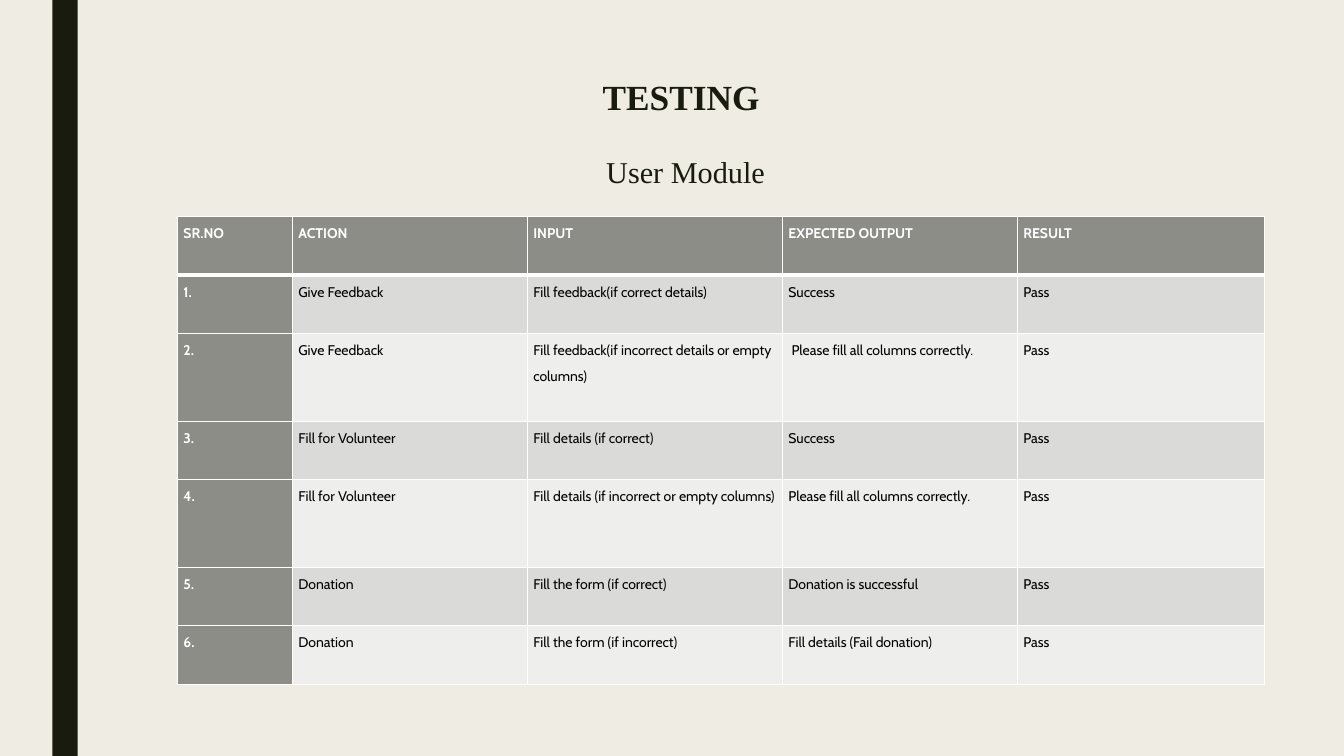
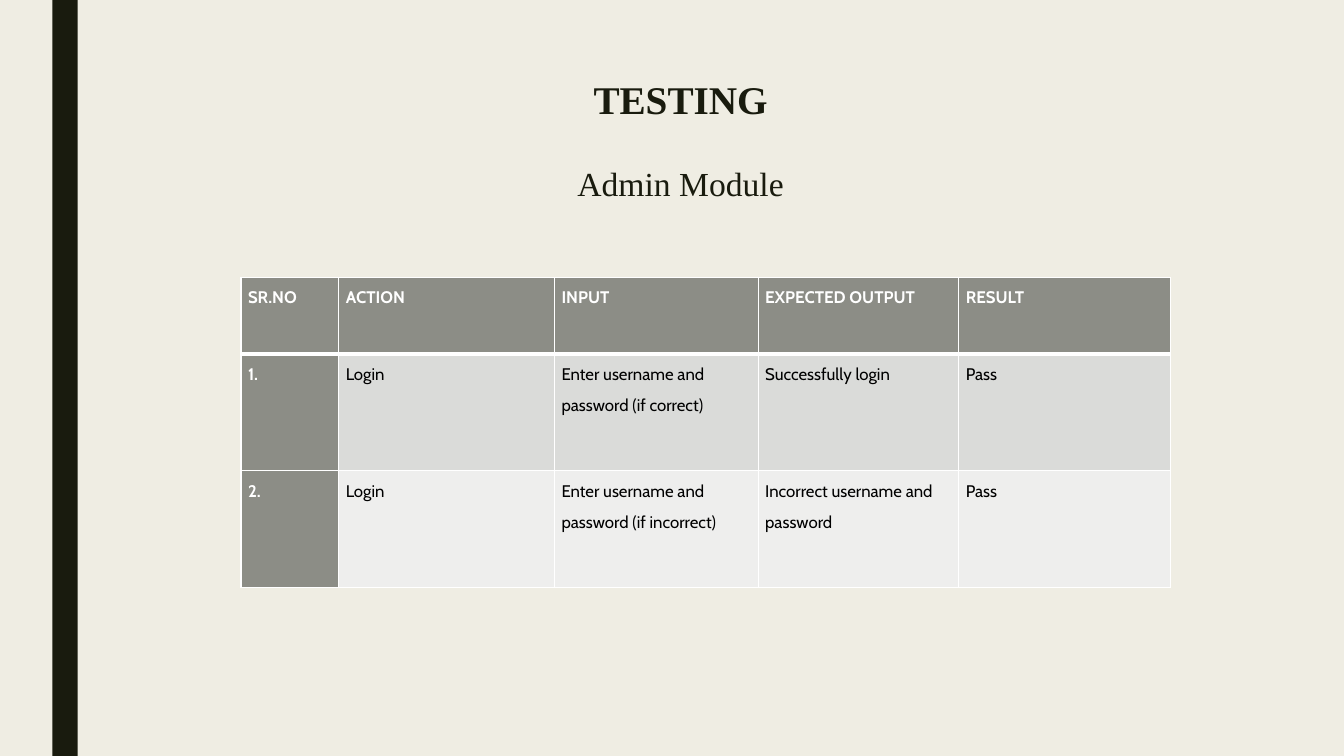
from dataclasses import dataclass

from lxml import etree
from pptx import Presentation
from pptx.dml.color import RGBColor
from pptx.enum.shapes import MSO_SHAPE
from pptx.enum.text import MSO_ANCHOR, MSO_AUTO_SIZE, PP_ALIGN
from pptx.oxml.ns import qn
from pptx.util import Inches, Pt

RECTANGLE = MSO_SHAPE.RECTANGLE
TOP = MSO_ANCHOR.TOP
NO_AUTOFIT = MSO_AUTO_SIZE.NONE
CENTER = PP_ALIGN.CENTER
TITLE_ONLY = 5


@dataclass(frozen=True)
class Theme:
    """Colours, fonts and type measures that the pages share."""

    paper: str = "EFEDE3"
    ink: str = "191B0E"
    header: str = "8C8D86"
    bands: tuple = ("DADBD9", "EEEEED")
    white: str = "FFFFFF"
    black: str = "000000"
    title_font: str = "Times New Roman"
    table_font: str = "Cabin"
    title_spacing: float = 0.89
    table_spacing: float = 1.5
    thin_line: float = 1
    thick_line: float = 3


@dataclass(frozen=True)
class Heading:
    """Text, place and type sizes of a two-line title."""

    lines: tuple
    box: tuple
    sizes: tuple
    gap: float


@dataclass(frozen=True)
class Grid:
    """Place, measures and rows of a test table."""

    left: float
    top: float
    columns: tuple
    heights: tuple
    size: float
    inset: float
    rows: tuple


THEME = Theme()
HEADER = ("SR.NO", "ACTION", "INPUT", "EXPECTED OUTPUT", "RESULT")
SHORT_ROW, TALL_ROW = 0.58, 0.87

USER_HEADING = Heading(("TESTING ", "User Module"), (1.5, 0.75, 10.6, 1.25), (25.2, 21.6), 28)
USER_GRID = Grid(
    left=1.76,
    top=2.15,
    columns=(1.14, 2.33, 2.53, 2.33, 2.45),
    heights=(SHORT_ROW, SHORT_ROW, TALL_ROW, SHORT_ROW, TALL_ROW, SHORT_ROW, SHORT_ROW),
    size=10,
    inset=0.06,
    rows=(
        ("Give Feedback", "Fill feedback(if correct details)", "Success"),
        ("Give Feedback", "Fill feedback(if incorrect details or empty columns)",
         " Please fill all columns correctly."),
        ("Fill for Volunteer", "Fill details (if correct)", "Success"),
        ("Fill for Volunteer", "Fill details (if incorrect or empty columns)",
         "Please fill all columns correctly."),
        ("Donation", "Fill the form (if correct)", "Donation is successful"),
        ("Donation", "Fill the form (if incorrect)", "Fill details (Fail donation)"),
    ),
)

ADMIN_HEADING = Heading(("TESTING", "Admin Module"), (1.5, 0.75, 10.5, 1.33), (28, 24), 32)
ADMIN_GRID = Grid(
    left=2.39,
    top=2.75,
    columns=(0.97, 2.14, 2.02, 1.99, 2.1),
    heights=(0.76, 1.16, 1.16),
    size=12,
    inset=0.07,
    rows=(
        ("Login", "Enter username and password (if correct)", "Successfully login"),
        ("Login", "Enter username and password (if incorrect)",
         "Incorrect username and password"),
    ),
)


def write(para, text, *, font, size, color, bold, spacing):
    """Add one formatted span to a paragraph."""
    para.line_spacing = spacing
    span = para.add_run()
    span.text = text
    span.font.name = font
    span.font.size = Pt(size)
    span.font.bold = bold
    span.font.color.rgb = RGBColor.from_string(color)


def add_band(page):
    """Draw the dark vertical band at the left of a page."""
    band = page.shapes.add_shape(RECTANGLE, Inches(0.52), 0, Inches(0.25), Inches(7.5))
    band.shadow.inherit = False
    band.fill.solid()
    band.fill.fore_color.rgb = RGBColor.from_string(THEME.ink)
    band.line.fill.background()


def set_title(page, heading):
    """Place the title placeholder and write its two lines."""
    box = page.shapes.title
    box.left, box.top, box.width, box.height = map(Inches, heading.box)
    frame = box.text_frame
    frame.word_wrap = True
    frame.auto_size = NO_AUTOFIT
    frame.vertical_anchor = TOP
    for index, (text, size) in enumerate(zip(heading.lines, heading.sizes)):
        first = index == 0
        para = frame.paragraphs[0] if first else frame.add_paragraph()
        para.alignment = CENTER
        para.space_before = Pt(0 if first else heading.gap)
        write(para, text, font=THEME.title_font, size=size, color=THEME.ink,
              bold=first, spacing=THEME.title_spacing)


def set_borders(cell, **widths):
    """Draw white lines on the four sides of a cell."""
    properties = cell._tc.get_or_add_tcPr()
    for side in "LRTB":
        width = Pt(widths.get(side, THEME.thin_line))
        line = etree.SubElement(properties, qn(f"a:ln{side}"), w=str(width))
        fill = etree.SubElement(line, qn("a:solidFill"))
        etree.SubElement(fill, qn("a:srgbClr"), val=THEME.white)


def format_cell(cell, text, grid, row, column):
    """Fill, line and write one cell by its place in the table."""
    strong = row == 0 or column == 0
    if row == 0:
        set_borders(cell, B=THEME.thick_line)
    elif row == 1:
        set_borders(cell, T=THEME.thick_line)
    else:
        set_borders(cell)
    fill = THEME.header if strong else THEME.bands[(row - 1) % 2]
    cell.fill.solid()
    cell.fill.fore_color.rgb = RGBColor.from_string(fill)
    cell.margin_left = cell.margin_right = Inches(grid.inset)
    cell.margin_top = cell.margin_bottom = 0
    cell.vertical_anchor = TOP
    write(cell.text_frame.paragraphs[0], text, font=THEME.table_font, size=grid.size,
          color=THEME.white if strong else THEME.black, bold=strong,
          spacing=THEME.table_spacing)


def add_test_table(page, grid):
    """Add a table of numbered tests that all pass."""
    tests = [(f"{number}.", *row, "Pass") for number, row in enumerate(grid.rows, 1)]
    rows = [HEADER, *tests]
    table = page.shapes.add_table(
        len(rows), len(HEADER), Inches(grid.left), Inches(grid.top),
        Inches(sum(grid.columns)), Inches(sum(grid.heights))).table
    for column, width in zip(table.columns, grid.columns):
        column.width = Inches(width)
    for row, height in zip(table.rows, grid.heights):
        row.height = Inches(height)
    for row, texts in enumerate(rows):
        for column, text in enumerate(texts):
            format_cell(table.cell(row, column), text, grid, row, column)


def add_page(deck, heading, grid):
    """Add one page with band, title and test table."""
    page = deck.slides.add_slide(deck.slide_layouts[TITLE_ONLY])
    add_band(page)
    set_title(page, heading)
    add_test_table(page, grid)


def main():
    """Build and save the deck."""
    deck = Presentation()
    deck.slide_width, deck.slide_height = Inches(13.33), Inches(7.5)
    background = deck.slide_master.background.fill
    background.solid()
    background.fore_color.rgb = RGBColor.from_string(THEME.paper)
    add_page(deck, USER_HEADING, USER_GRID)
    add_page(deck, ADMIN_HEADING, ADMIN_GRID)
    deck.save("out.pptx")


if __name__ == "__main__":
    main()
